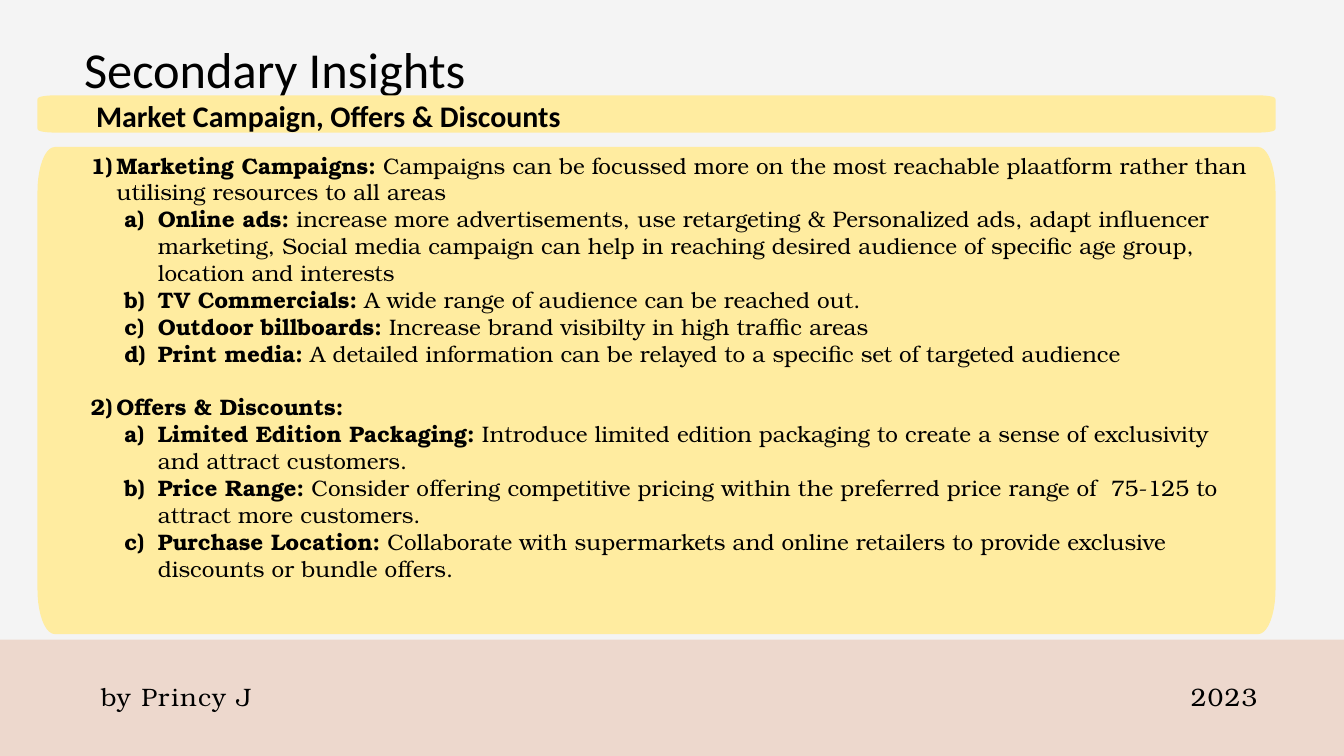
from math import cos, pi, sin

from lxml import etree
from pptx import Presentation
from pptx.dml.color import RGBColor
from pptx.enum.shapes import MSO_SHAPE
from pptx.enum.text import PP_ALIGN
from pptx.oxml.ns import qn
from pptx.util import Cm, Pt

RECTANGLE = MSO_SHAPE.RECTANGLE
LEFT, RIGHT = PP_ALIGN.LEFT, PP_ALIGN.RIGHT

COLORS = {"background": "F4F4F4", "footer": "EDD8CD", "panel": "FFECA0", "text": "000000"}
HEADING_FONT, BODY_FONT = "Calibri", "TeX Gyre Bonum"

TITLE = "Secondary Insights"
SUBTITLE = "Market Campaign, Offers & Discounts"
AUTHOR, YEAR = "by Princy J", "2023"
SECTIONS = [
    ("Marketing Campaigns:",
     " Campaigns can be focussed more on the most reachable plaatform rather than "
     "utilising resources to all areas",
     [("Online ads:",
       " increase more advertisements, use retargeting & Personalized ads, adapt influencer "
       "marketing, Social media campaign can help in reaching desired audience of specific "
       "age group, location and interests"),
      ("TV Commercials:", " A wide range of audience can be reached out."),
      ("Outdoor billboards:", " Increase brand visibilty in high traffic areas"),
      ("Print media:",
       " A detailed information can be relayed to a specific set of targeted audience")]),
    ("Offers & Discounts:", "",
     [("Limited Edition Packaging:",
       " Introduce limited edition packaging to create a sense of exclusivity and attract "
       "customers."),
      ("Price Range:",
       " Consider offering competitive pricing within the preferred price range of  75-125 "
       "to attract more customers."),
      ("Purchase Location:",
       " Collaborate with supermarkets and online retailers to provide exclusive discounts "
       "or bundle offers.")]),
]
LIST_LEVELS = [
    {"indent": 0.97, "hanging": 0.97, "numbering": "arabicParenR"},
    {"indent": 2.54, "hanging": 1.27, "numbering": "alphaLcParenR"},
]
SECTION_GAP = 28.8

PANEL_LEFT, PANEL_WIDTH, CORNER_WIDTH = 1.47, 46.69, 0.61
CORNER_STEPS = 10


def color(name):
    return RGBColor.from_string(COLORS[name])


def add_panel(slide, top, height, corner_height):
    right, bottom = PANEL_LEFT + PANEL_WIDTH, top + height
    inner_left, inner_right = PANEL_LEFT + CORNER_WIDTH, right - CORNER_WIDTH
    inner_top, inner_bottom = top + corner_height, bottom - corner_height
    centers = [(inner_right, inner_bottom), (inner_left, inner_bottom),
               (inner_left, inner_top), (inner_right, inner_top)]
    points = []
    for quarter, (x, y) in enumerate(centers):
        for step in range(CORNER_STEPS + 1):
            angle = (quarter + step / CORNER_STEPS) * pi / 2
            points.append((Cm(x + CORNER_WIDTH * cos(angle)),
                           Cm(y + corner_height * sin(angle))))
    builder = slide.shapes.build_freeform(*points[0])
    builder.add_line_segments(points[1:], close=True)
    shape = builder.convert_to_shape()
    shape.shadow.inherit = False
    shape.fill.solid()
    shape.fill.fore_color.rgb = color("panel")
    shape.line.color.rgb = color("panel")
    shape.line.width = Pt(3)


def add_text_frame(slide, box, inset=True):
    frame = slide.shapes.add_textbox(*map(Cm, box)).text_frame
    frame.word_wrap = True
    if not inset:
        frame.margin_left = frame.margin_right = frame.margin_top = frame.margin_bottom = 0
    return frame


def set_font(font, name, size, bold=None):
    font.name = name
    font.size = Pt(size)
    font.bold = bold
    font.color.rgb = color("text")


def add_label(slide, text, box, name, size, bold=None, line_spacing=None,
              align=LEFT, tracking=None):
    frame = add_text_frame(slide, box, inset=line_spacing is None)
    paragraph = frame.paragraphs[0]
    paragraph.alignment = align
    if line_spacing:
        paragraph.line_spacing = Pt(line_spacing)
    set_font(paragraph.font, name, size, bold)
    run = paragraph.add_run()
    run.text = text
    if tracking:
        run._r.get_or_add_rPr().set("spc", str(tracking))


def add_list_item(frame, level, heading, detail, gap=0):
    first = frame.paragraphs[0]
    paragraph = frame.add_paragraph() if first.runs else first
    style = LIST_LEVELS[level]
    paragraph.level = level
    properties = paragraph._p.get_or_add_pPr()
    properties.set("marL", str(Cm(style["indent"])))
    properties.set("indent", str(-Cm(style["hanging"])))
    etree.SubElement(properties, qn("a:buFont"), typeface="+mj-lt")
    etree.SubElement(properties, qn("a:buAutoNum"), type=style["numbering"])
    paragraph.space_before = Pt(gap)
    set_font(paragraph.font, BODY_FONT, 24)
    for text, bold in ((heading, True), (detail, False)):
        if text:
            run = paragraph.add_run()
            run.text = text
            run.font.bold = bold


def main():
    presentation = Presentation()
    presentation.slide_width, presentation.slide_height = Cm(50.8), Cm(28.58)
    slide = presentation.slides.add_slide(presentation.slide_layouts[6])
    slide.background.fill.solid()
    slide.background.fill.fore_color.rgb = color("background")

    footer = slide.shapes.add_shape(RECTANGLE, Cm(-1.14), Cm(24.18), Cm(53.34), Cm(5))
    footer.shadow.inherit = False
    footer.fill.solid()
    footer.fill.fore_color.rgb = color("footer")
    footer.line.fill.background()

    add_label(slide, TITLE, (3.18, 1.04, 27.86, 2.69), HEADING_FONT, 54, line_spacing=76)
    add_panel(slide, 5.61, 18.31, 1.65)
    add_panel(slide, 3.66, 1.3, 0.1)
    add_label(slide, SUBTITLE, (3.38, 3.58, 29.62, 1.63), HEADING_FONT, 32, bold=True)
    for text, left, width, align in ((AUTHOR, 3.81, 10.49, LEFT), (YEAR, 30.48, 17.04, RIGHT)):
        add_label(slide, text, (left, 25.58, width, 1.35), BODY_FONT, 27,
                  line_spacing=37.8, align=align, tracking=140)

    body = add_text_frame(slide, (3.18, 5.61, 44.35, 19.74))
    for index, (heading, detail, items) in enumerate(SECTIONS):
        add_list_item(body, 0, heading, detail, SECTION_GAP if index else 0)
        for item in items:
            add_list_item(body, 1, *item)

    presentation.save("out.pptx")


if __name__ == "__main__":
    main()
